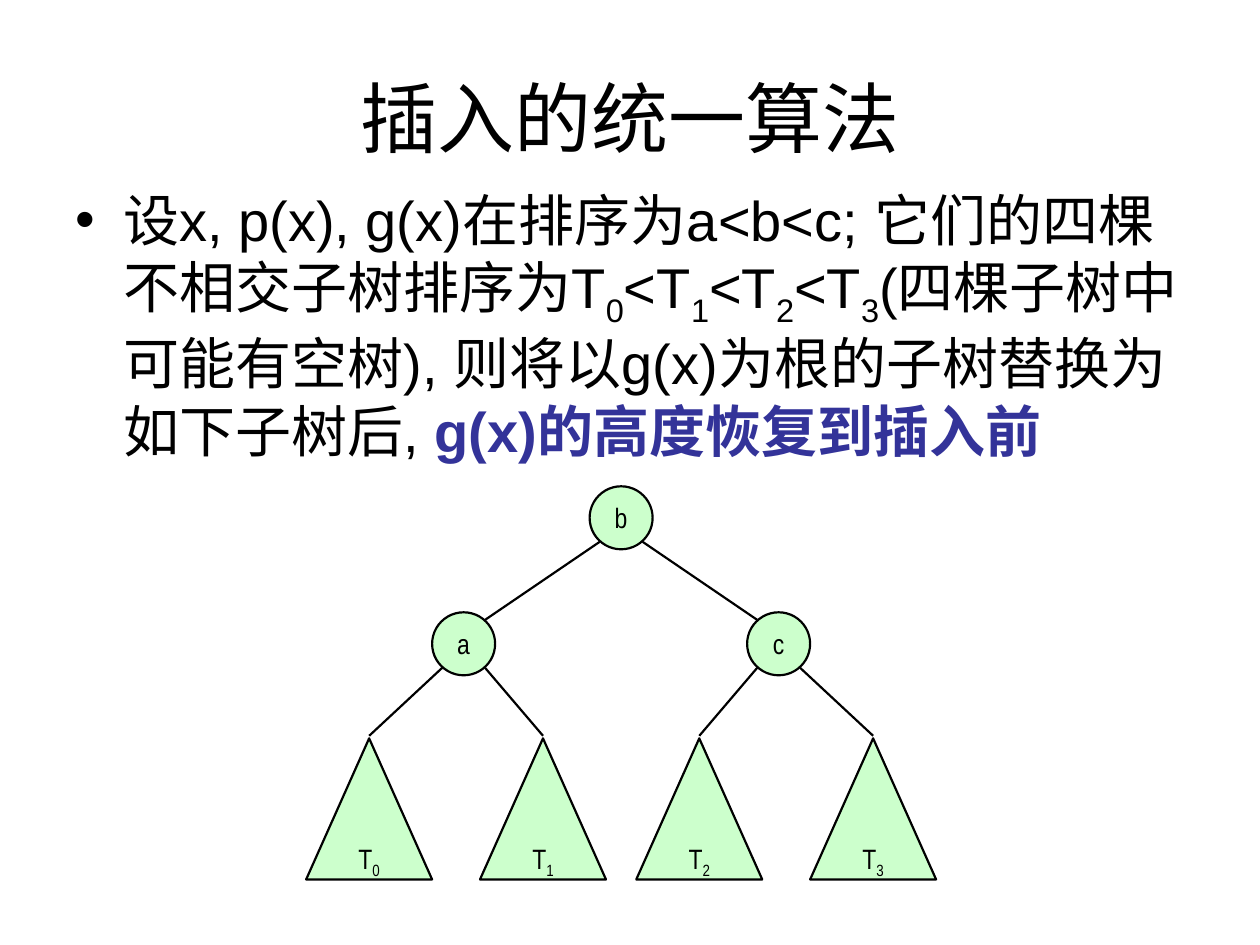
import lxml.etree
import pptx
import pptx.dml.color
import pptx.enum.shapes
import pptx.enum.text
import pptx.oxml.ns
import pptx.util

Inches = pptx.util.Inches
Pt = pptx.util.Pt
qn = pptx.oxml.ns.qn
SHAPE = pptx.enum.shapes.MSO_SHAPE
ANCHOR = pptx.enum.text.MSO_ANCHOR
ALIGN = pptx.enum.text.PP_ALIGN

BLACK, BLUE, GREEN = "000000", "333399", "CCFFCC"
LINE_WIDTH = Pt(1.25)

# Tree geometry in inches
CENTER_X = 4.93
NODE_SIZE = 0.5
CORNER_X, CORNER_Y = 0.17, 0.19
ROOT_Y, CHILD_Y = 4.11, 5.11
CHILD_OFFSET = 1.25
SUBTREE_TOP, SUBTREE_WIDTH, SUBTREE_HEIGHT = 5.86, 1, 1.12
OUTER_OFFSET, INNER_OFFSET = 2, 0.62


def color(value):
    return pptx.dml.color.RGBColor.from_string(value)


def write_text(shape, runs, size, font="Arial", anchor=ANCHOR.MIDDLE,
               align=ALIGN.CENTER, wrap=True, margin_y=0.05):
    """Fill one paragraph; runs are (text, style), style being "", "sub" or "strong"."""
    frame = shape.text_frame
    frame.word_wrap = wrap
    frame.vertical_anchor = anchor
    frame.margin_left = frame.margin_right = Inches(0.1)
    frame.margin_top = frame.margin_bottom = Inches(margin_y)
    paragraph = frame.paragraphs[0]
    paragraph.alignment = align
    for text, style in runs:
        run = paragraph.add_run()
        run.text = text
        run.font.size = Pt(size)
        run.font.name = font
        run.font.bold = style == "strong"
        run.font.color.rgb = color(BLUE if style == "strong" else BLACK)
        if style == "sub":
            run._r.get_or_add_rPr().set("baseline", "-25000")
    return paragraph


def add_bullet(paragraph, indent):
    properties = paragraph._p.get_or_add_pPr()
    properties.set("marL", str(Inches(indent)))
    properties.set("indent", str(-Inches(indent)))
    lxml.etree.SubElement(properties, qn("a:buFont")).set("typeface", "Arial")
    lxml.etree.SubElement(properties, qn("a:buChar")).set("char", "•")


def add_text_box(slide, left, top, width, height, runs, **text_format):
    box = slide.shapes.add_textbox(Inches(left), Inches(top), Inches(width), Inches(height))
    return write_text(box, runs, **text_format)


def add_tree_shape(tree, kind, left, top, width, height, runs, **text_format):
    shape = tree.shapes.add_shape(kind, Inches(left), Inches(top), Inches(width), Inches(height))
    shape.shadow.inherit = False
    shape.fill.solid()
    shape.fill.fore_color.rgb = color(GREEN)
    shape.line.color.rgb = color(BLACK)
    shape.line.width = LINE_WIDTH
    write_text(shape, runs, size=16, font="Arial Narrow", wrap=False, **text_format)


def add_node(tree, x, y, label):
    add_tree_shape(tree, SHAPE.OVAL, x - NODE_SIZE / 2, y - NODE_SIZE / 2,
                   NODE_SIZE, NODE_SIZE, [(label, "")])


def add_subtree(tree, x, number):
    add_tree_shape(tree, SHAPE.ISOSCELES_TRIANGLE, x - SUBTREE_WIDTH / 2, SUBTREE_TOP,
                   SUBTREE_WIDTH, SUBTREE_HEIGHT, [("T", ""), (str(number), "sub")],
                   anchor=ANCHOR.BOTTOM, margin_y=0)


def add_edge(tree, parent_x, parent_y, side, end_x, end_y):
    """Join the lower corner of a node on the given side (-1 or 1) to a point."""
    edge = tree.shapes.add_connector(
        pptx.enum.shapes.MSO_CONNECTOR.STRAIGHT,
        Inches(parent_x + side * CORNER_X), Inches(parent_y + CORNER_Y),
        Inches(end_x), Inches(end_y))
    edge.line.color.rgb = color(BLACK)
    edge.line.width = LINE_WIDTH
    lxml.etree.SubElement(edge._element.spPr, qn("a:effectLst"))


def add_tree(slide):
    tree = slide.shapes.add_group_shape()
    # Each half: inner node with its two subtrees, left to right
    for side, label, offsets, first in (
            (-1, "a", (-OUTER_OFFSET, -INNER_OFFSET), 0),
            (1, "c", (INNER_OFFSET, OUTER_OFFSET), 2)):
        node_x = CENTER_X + side * CHILD_OFFSET
        add_node(tree, node_x, CHILD_Y, label)
        for index, offset in enumerate(offsets):
            subtree_x = CENTER_X + offset
            add_edge(tree, node_x, CHILD_Y, 2 * index - 1, subtree_x, SUBTREE_TOP - 0.02)
            add_subtree(tree, subtree_x, first + index)
        add_edge(tree, CENTER_X, ROOT_Y, side,
                 node_x - side * CORNER_X, CHILD_Y - CORNER_Y)
    add_node(tree, CENTER_X, ROOT_Y, "b")


def main():
    presentation = pptx.Presentation()
    presentation.slide_width = Inches(10)
    presentation.slide_height = Inches(7.5)
    slide = presentation.slides.add_slide(presentation.slide_layouts[6])

    # Title
    add_text_box(slide, 0.5, 0.3, 9, 1.25, [("插入的统一算法", "")], size=44)

    # Statement
    statement = [("设x, p(x), g(x)在排序为a<b<c; 它们的四棵不相交子树排序为T", ""), ("0", "sub")]
    for number in "123":
        statement += [("<T", ""), (number, "sub")]
    statement += [("(四棵子树中可能有空树), 则将以g(x)为根的子树替换为如下子树后, ", ""),
                  ("g(x)的高度恢复到插入前", "strong")]
    paragraph = add_text_box(slide, 0.5, 1.42, 9, 5.75, statement, size=32,
                             anchor=ANCHOR.TOP, align=ALIGN.LEFT)
    paragraph.space_before = Pt(8)
    add_bullet(paragraph, 0.38)

    # Tree
    add_tree(slide)
    presentation.save("out.pptx")


main()
